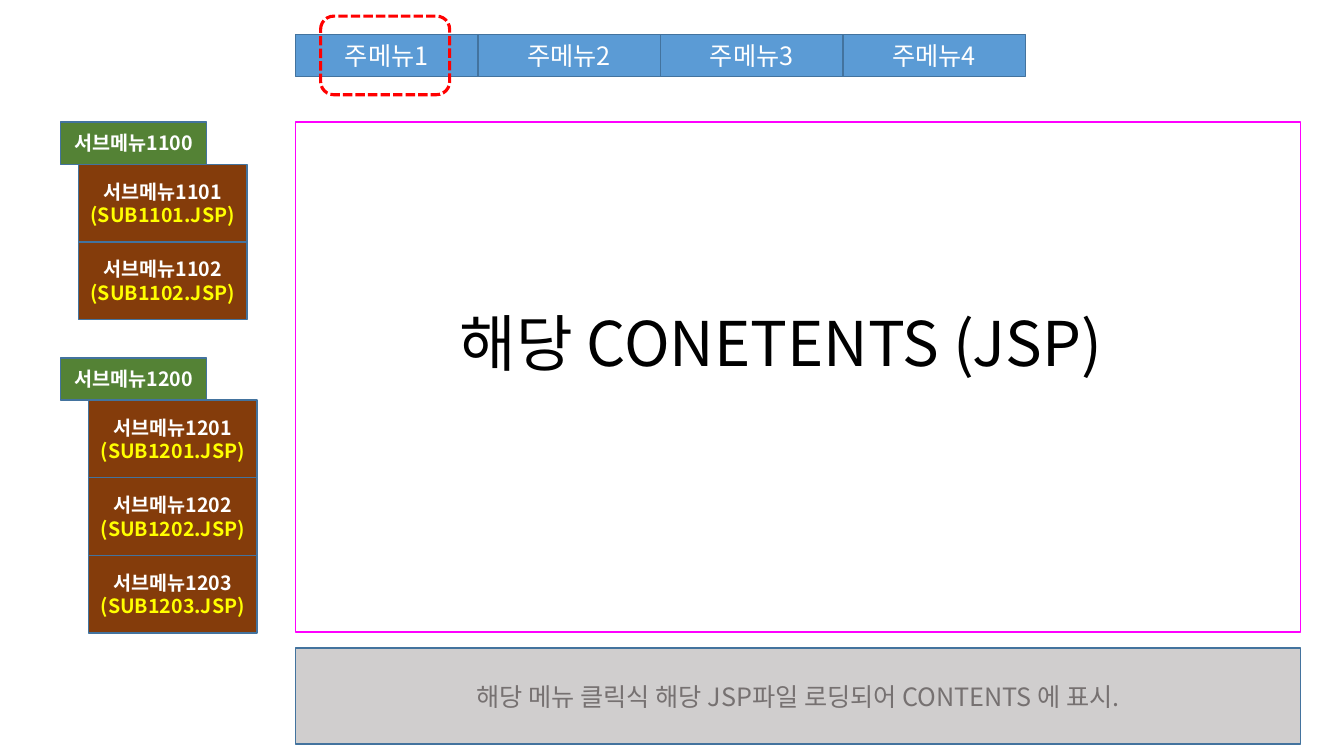
from pptx import Presentation
from pptx.dml.color import RGBColor
from pptx.enum.dml import MSO_LINE
from pptx.enum.shapes import MSO_SHAPE
from pptx.enum.text import MSO_ANCHOR, PP_ALIGN
from pptx.oxml.ns import qn
from pptx.util import Inches, Pt
from lxml import etree

FONT = "Noto Sans CJK KR"
COLORS = {
    "main": "5B9BD5", "group": "548235", "item": "843C0B", "notice": "D0CECE",
    "border": "43739E", "frame": "FF00FF", "marker": "FF0000",
    "white": "FFFFFF", "file": "FFFF00", "black": "000000", "gray": "767171",
}


def write(sp, lines, size, bold=False, align=PP_ALIGN.CENTER):
    """Write (text, color) lines into a shape, one paragraph each."""
    tf = sp.text_frame
    tf.word_wrap = True
    for i, (text, color) in enumerate(lines):
        p = tf.add_paragraph() if i else tf.paragraphs[0]
        p.text = text
        p.alignment = align
        p.font.size = Pt(size)
        p.font.bold = bold
        p.font.name = FONT
        p.font.color.rgb = RGBColor.from_string(COLORS[color])
        # Hangul takes the East Asian font
        props = p._p.pPr.find(qn("a:defRPr"))
        etree.SubElement(props, qn("a:ea"), typeface=FONT)


def add_box(x, y, w, h, fill=None, line="border", width=1, kind=MSO_SHAPE.RECTANGLE):
    """Add an outlined shape, unfilled unless a fill is named."""
    sp = slide.shapes.add_shape(kind, Inches(x), Inches(y), Inches(w), Inches(h))
    sp.shadow.inherit = False
    if fill:
        sp.fill.solid()
        sp.fill.fore_color.rgb = RGBColor.from_string(COLORS[fill])
    else:
        sp.fill.background()
    sp.line.color.rgb = RGBColor.from_string(COLORS[line])
    sp.line.width = Pt(width)
    sp.text_frame.vertical_anchor = MSO_ANCHOR.MIDDLE
    return sp


prs = Presentation()
prs.slide_width, prs.slide_height = Inches(13.33), Inches(7.5)
slide = prs.slides.add_slide(prs.slide_layouts[6])

CONTENT_X, CONTENT_W = 2.93, 9.97
BAR_H, TAB_W, ITEM_H = 0.42, 1.81, 0.77

# Main menu, with the first tab marked
for i in range(4):
    tab = add_box(CONTENT_X + i * TAB_W, 0.34, TAB_W, BAR_H, "main")
    write(tab, [(f"주메뉴{i + 1}", "white")], 18)
marker = add_box(3.18, 0.16, 1.28, 0.78, line="marker", width=2.25,
                 kind=MSO_SHAPE.ROUNDED_RECTANGLE)
marker.line.dash_style = MSO_LINE.SQUARE_DOT

# Submenu groups: number, top, left of the items, item count
for number, top, item_x, count in [(1100, 1.21, 0.78, 2), (1200, 3.55, 0.88, 3)]:
    group = add_box(0.6, top, 1.45, BAR_H, "group")
    write(group, [(f"서브메뉴{number}", "white")], 14, bold=True)
    for i in range(count):
        code = number + i + 1
        item = add_box(item_x, top + BAR_H + i * ITEM_H, 1.67, ITEM_H, "item")
        write(item, [(f"서브메뉴{code}", "white"), (f"(SUB{code}.JSP)", "file")],
              14, bold=True)

# Content area
add_box(CONTENT_X, 1.21, CONTENT_W, 5.06, line="frame")
title = slide.shapes.add_textbox(Inches(4.46), Inches(2.98), Inches(6.75), Inches(0.84))
write(title, [("해당 CONETENTS (JSP)", "black")], 44, align=PP_ALIGN.LEFT)

# Notice
notice = add_box(CONTENT_X, 6.43, CONTENT_W, 0.95, "notice")
write(notice, [("해당 메뉴 클릭식 해당 JSP파일 로딩되어 CONTENTS 에 표시.", "gray")], 18)

prs.save("out.pptx")
